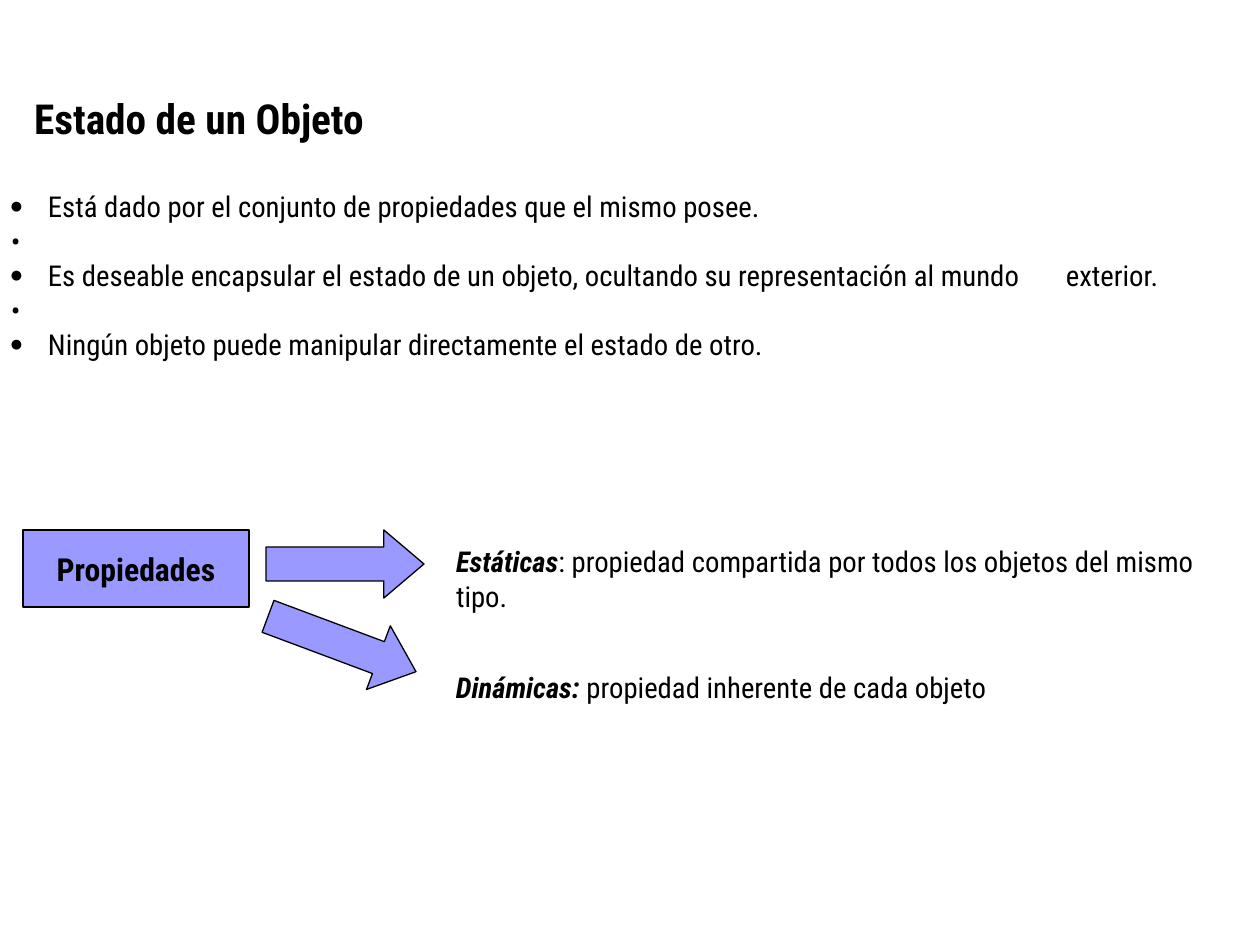
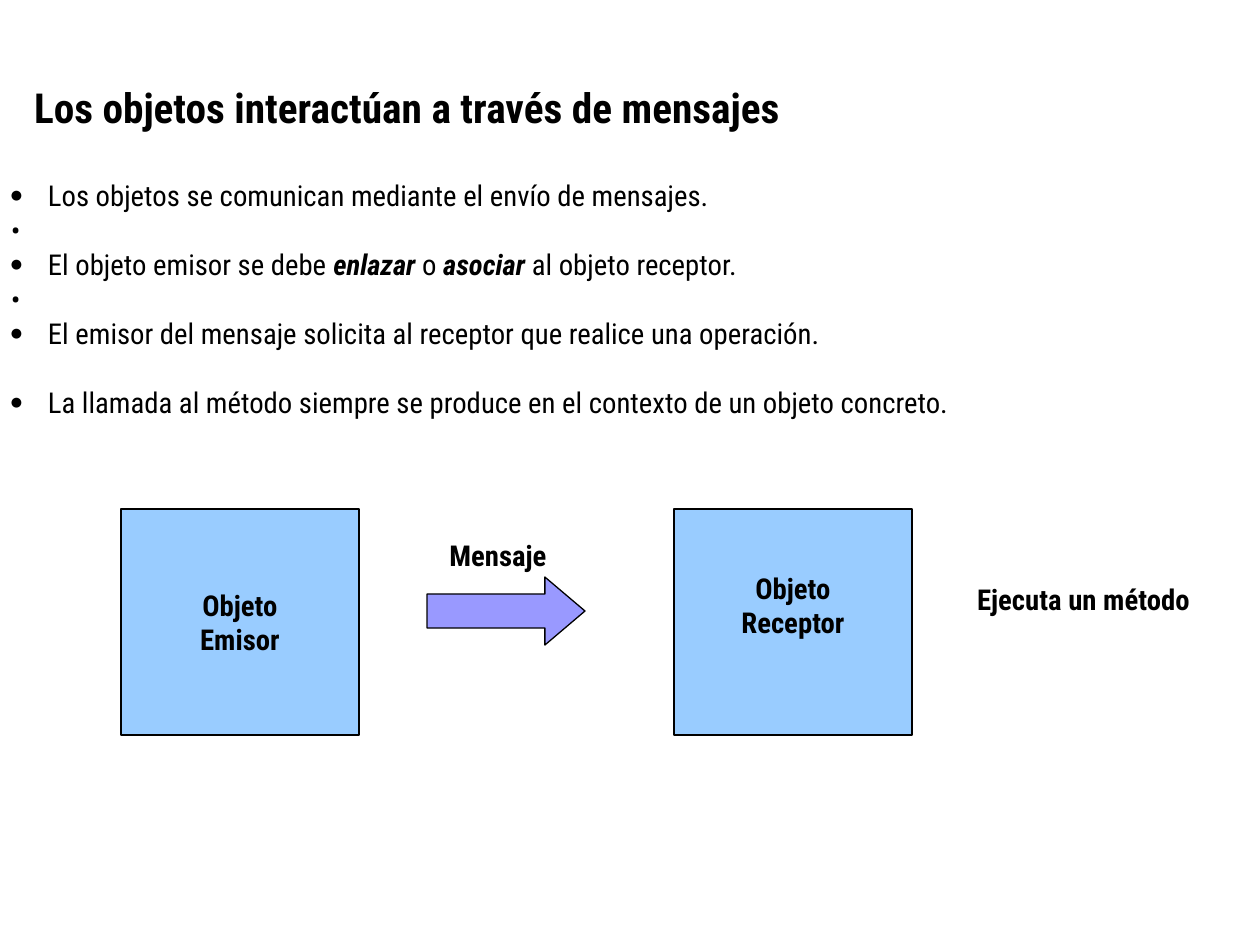
import pptx
import pptx.util
import pptx.dml.color
import pptx.enum.shapes
import pptx.enum.text
from lxml import etree

PX = 914400 / 126
FONT = "Roboto Condensed"
BODY, LABEL, TITLE = 16.4, 18.1, 23.6
LINE_PITCH = 19.6
BLACK = pptx.dml.color.RGBColor(0, 0, 0)
VIOLET = pptx.dml.color.RGBColor(0x99, 0x99, 0xFF)
SKY = pptx.dml.color.RGBColor(0x99, 0xCC, 0xFF)
SHAPE = pptx.enum.shapes.MSO_SHAPE
ANCHOR = pptx.enum.text.MSO_ANCHOR
CENTER = pptx.enum.text.PP_ALIGN.CENTER
DOT = [("•", "")]


def add_text(sp, paragraphs, size=BODY, align=None, wrap=True):
    tf = sp.text_frame
    tf.word_wrap = wrap
    tf.margin_left = tf.margin_right = round(11 * PX)
    tf.margin_top = tf.margin_bottom = round(5 * PX)
    for i, runs in enumerate(paragraphs):
        p = tf.add_paragraph() if i else tf.paragraphs[0]
        p.alignment = align
        for text, style in runs:
            r = p.add_run()
            r.text = text
            r.font.name = FONT
            r.font.size = pptx.util.Pt(size)
            r.font.color.rgb = BLACK
            r.font.bold = "b" in style
            r.font.italic = "i" in style
    return tf


def add_block(s, kind, box, fill=None):
    box = [round(v * PX) for v in box]
    if kind is None:
        return s.shapes.add_textbox(*box)
    sp = s.shapes.add_shape(kind, *box)
    sp.shadow.inherit = False
    sp.fill.solid()
    sp.fill.fore_color.rgb = fill
    sp.line.color.rgb = BLACK
    sp.line.width = pptx.util.Pt(0.75)
    if kind == SHAPE.RIGHT_ARROW:
        sp.adjustments[0] = 0.5
        sp.adjustments[1] = 0.59
    return sp


prs = pptx.Presentation()
prs.slide_width = round(1260 * PX)
prs.slide_height = round(945 * PX)

topics = [
    (88, "Estado de un Objeto", 210, [
        [("Está dado por el conjunto de propiedades que el mismo posee.", "")],
        DOT,
        [("Es deseable encapsular el estado de un objeto, ocultando su representación al mundo", ""),
         (" ", "w"), ("exterior.", "")],
        DOT,
        [("Ningún objeto puede manipular directamente el estado de otro.", "")],
    ]),
    (77, "Los objetos interactúan a través de mensajes", 243, [
        [("Los objetos se comunican mediante el envío de mensajes.", "")],
        DOT,
        [("El objeto emisor se debe ", ""), ("enlazar", "bi"), (" o ", ""),
         ("asociar", "bi"), (" al objeto receptor.", "")],
        DOT,
        [("El emisor del mensaje solicita al receptor que realice una operación.", "")],
        [("La llamada al método siempre se produce en el contexto de un objeto concreto.", "")],
    ]),
]
slides = []
for top, title, height, bullets in topics:
    s = prs.slides.add_slide(prs.slide_layouts[6])
    slides.append(s)
    add_text(add_block(s, None, (23, top, 1215, 59)), [[(title, "b")]], TITLE)
    tf = add_text(add_block(s, None, (0, top + 96, 1260, height)), bullets)
    for p, runs in zip(tf.paragraphs, bullets):
        pPr = p._p.get_or_add_pPr()
        pPr.set("marL", str(round(37 * PX)))
        pPr.set("indent", str(round(-37 * PX)))
        if runs is not DOT:
            for tag, key, value in (("buSzPct", "val", "45000"), ("buFont", "typeface", FONT),
                                    ("buChar", "char", "●")):
                etree.SubElement(pPr, pptx.oxml.ns.qn("a:" + tag)).set(key, value)
        for r, (text, style) in zip(p.runs, runs):
            if style == "w":
                r.font._element.set("spc", "2230")
tf.paragraphs[-1].space_before = pptx.util.Pt(LINE_PITCH)

s = slides[0]
sp = add_block(s, SHAPE.RECTANGLE, (23, 530, 226, 77), VIOLET)
tf = add_text(sp, [[("Propiedades", "b")]], LABEL, CENTER, wrap=False)
tf.vertical_anchor = ANCHOR.MIDDLE
for x, y, angle in ((266, 530, 0), (263, 610, 20.5)):
    sp = add_block(s, SHAPE.RIGHT_ARROW, (x, y, 158, 68), VIOLET)
    sp.rotation = angle
for box, term, meaning in (
    ((445, 539, 815, 111), "Estáticas", ": propiedad compartida por todos los objetos del mismo tipo."),
    ((445, 665, 793, 78), "Dinámicas: ", "propiedad inherente de cada objeto"),
):
    add_text(add_block(s, None, box), [[(term, "bi"), (meaning, "")]])

s = slides[1]
for x, role, bottom in ((121, "Emisor", 5), (674, "Receptor", 39)):
    sp = add_block(s, SHAPE.RECTANGLE, (x, 509, 238, 226), SKY)
    tf = add_text(sp, [[("Objeto", "b")], [(role, "b")]], align=CENTER, wrap=False)
    tf.vertical_anchor = ANCHOR.MIDDLE
    tf.margin_bottom = round(bottom * PX)
add_block(s, SHAPE.RIGHT_ARROW, (427, 577, 158, 68), VIOLET)
for box, label in (((411, 533, 174, 44), "Mensaje"), ((922, 577, 323, 44), "Ejecuta un método")):
    add_text(add_block(s, None, box), [[(label, "b")]], align=CENTER)

prs.save("out.pptx")
